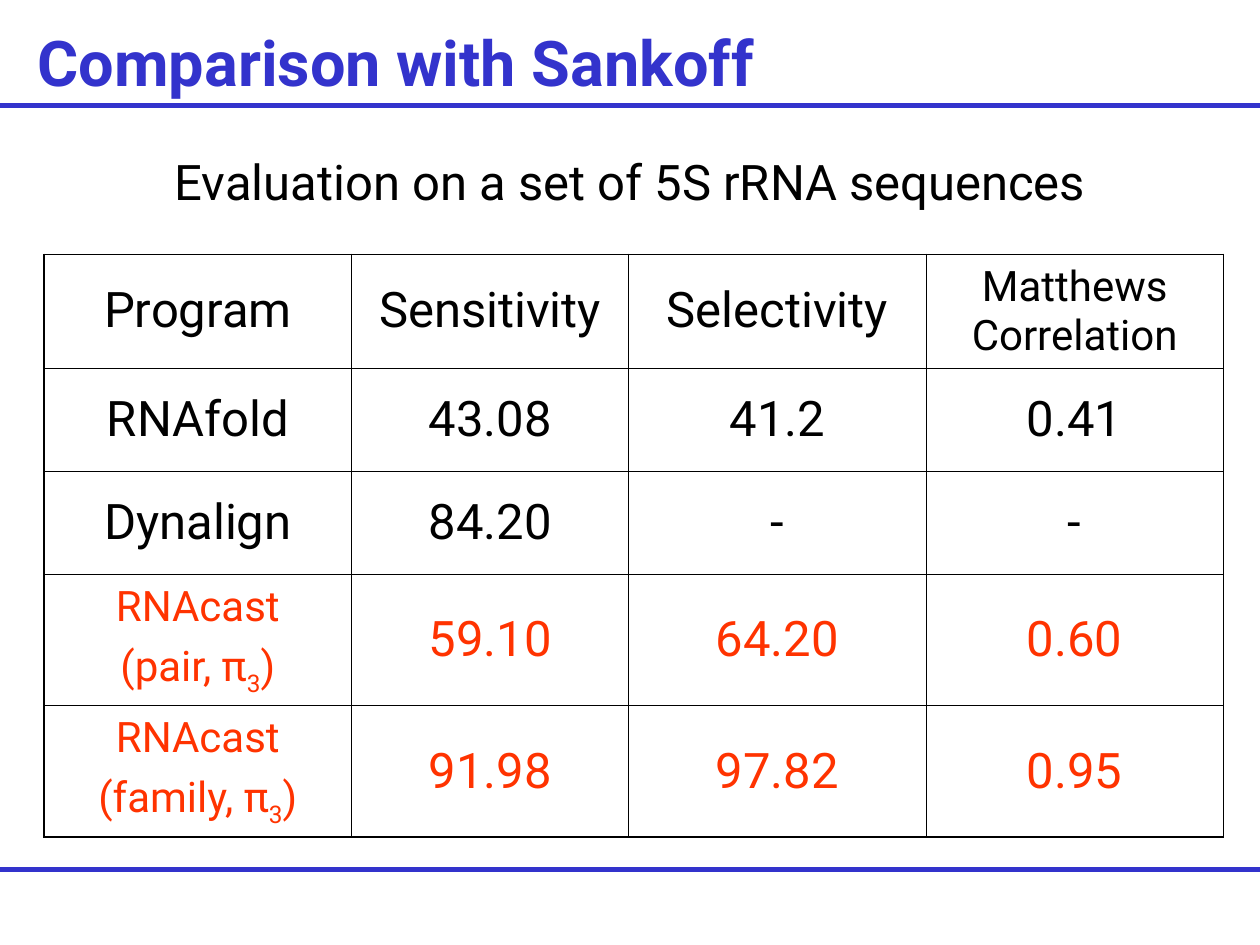
from pptx import Presentation
from pptx.dml.color import RGBColor
from pptx.enum.shapes import MSO_CONNECTOR as CONN
from pptx.enum.text import MSO_ANCHOR as ANCHOR, PP_ALIGN as ALIGN
from pptx.oxml.ns import qn
from pptx.util import Pt
from lxml.etree import SubElement

FONT = "Roboto"
BLUE, RED, BLACK = "3333CC", "FF3300", "000000"
THIN, THICK = 0.45, 1.08

COLUMNS = [175.7, 158.4, 169.9, 169.9]
ROWS = [65, 59, 59, 75, 75]
# Text between underscores is subscript
RESULTS = [
    ["Program", "Sensitivity", "Selectivity", "Matthews Correlation"],
    ["RNAfold", "43.08", "41.2", "0.41"],
    ["Dynalign", "84.20", "-", "-"],
    ["RNAcast\n(pair, π_3_)", "59.10", "64.20", "0.60"],
    ["RNAcast\n(family, π_3_)", "91.98", "97.82", "0.95"],
]


def color(value):
    return RGBColor.from_string(value)


def write(tf, text, size=28, fill=BLACK, bold=False, align=ALIGN.CENTER, before=0):
    for i, line in enumerate(text.split("\n")):
        p = tf.add_paragraph() if i else tf.paragraphs[0]
        p.alignment = align
        p.space_before = Pt(before)
        for j, part in enumerate(line.split("_")):
            r = p.add_run()
            r.text = part
            r.font.name, r.font.size, r.font.bold = FONT, Pt(size), bold
            r.font.color.rgb = color(fill)
            if j % 2:
                r.font._rPr.set("baseline", "-25000")


def add_text(slide, text, left, top, width, height, anchor=ANCHOR.TOP, **fmt):
    tf = slide.shapes.add_textbox(Pt(left), Pt(top), Pt(width), Pt(height)).text_frame
    tf.word_wrap = True
    tf.vertical_anchor = anchor
    write(tf, text, **fmt)


def add_rule(slide, y, width=720):
    s = slide.shapes.add_connector(CONN.STRAIGHT, Pt(0), Pt(y), Pt(width), Pt(y))
    s.line.color.rgb = color(BLUE)
    s.line.width = Pt(3)
    SubElement(s._element.spPr, qn("a:effectLst"))


def set_borders(cell, widths):
    tcPr = cell._tc.get_or_add_tcPr()
    for side, width in zip("LRTB", widths):
        ln = SubElement(tcPr, qn(f"a:ln{side}"), w=str(Pt(width)))
        SubElement(SubElement(ln, qn("a:solidFill")), qn("a:srgbClr"), val=BLACK)


def add_results(slide, left, top):
    last_row, last_col = len(ROWS) - 1, len(COLUMNS) - 1
    table = slide.shapes.add_table(len(ROWS), len(COLUMNS), Pt(left), Pt(top),
                                   Pt(sum(COLUMNS)), Pt(sum(ROWS))).table
    for col, width in zip(table.columns, COLUMNS):
        col.width = Pt(width)
    for i, (row, height) in enumerate(zip(table.rows, ROWS)):
        row.height = Pt(height)
        for j, (cell, text) in enumerate(zip(row.cells, RESULTS[i])):
            # Heavier lines around the outside
            outer = (j == 0, j == last_col, i == 0, i == last_row)
            set_borders(cell, [THICK if edge else THIN for edge in outer])
            cell.fill.background()
            cell.vertical_anchor = ANCHOR.MIDDLE
            small = "\n" in text or " " in text
            write(cell.text_frame, text, size=24 if small else 28,
                  before=6 if small else 7,
                  fill=RED if RESULTS[i][0].startswith("RNAcast") else BLACK)


def main():
    prs = Presentation()
    prs.slide_width, prs.slide_height = Pt(720), Pt(540)
    slide = prs.slides.add_slide(prs.slide_layouts[6])

    # Rules above and below the content
    for y in (60.3, 496.8):
        add_rule(slide, y)

    # Title, table and its heading
    add_text(slide, "Comparison with Sankoff", 14.4, 2.2, 544.3, 65.5,
             anchor=ANCHOR.MIDDLE, size=36, fill=BLUE, bold=True, align=ALIGN.LEFT)
    add_results(slide, 25.2, 145.4)
    add_text(slide, "Evaluation on a set of 5S rRNA sequences", 0, 82.8, 720, 41)

    prs.save("out.pptx")


if __name__ == "__main__":
    main()
